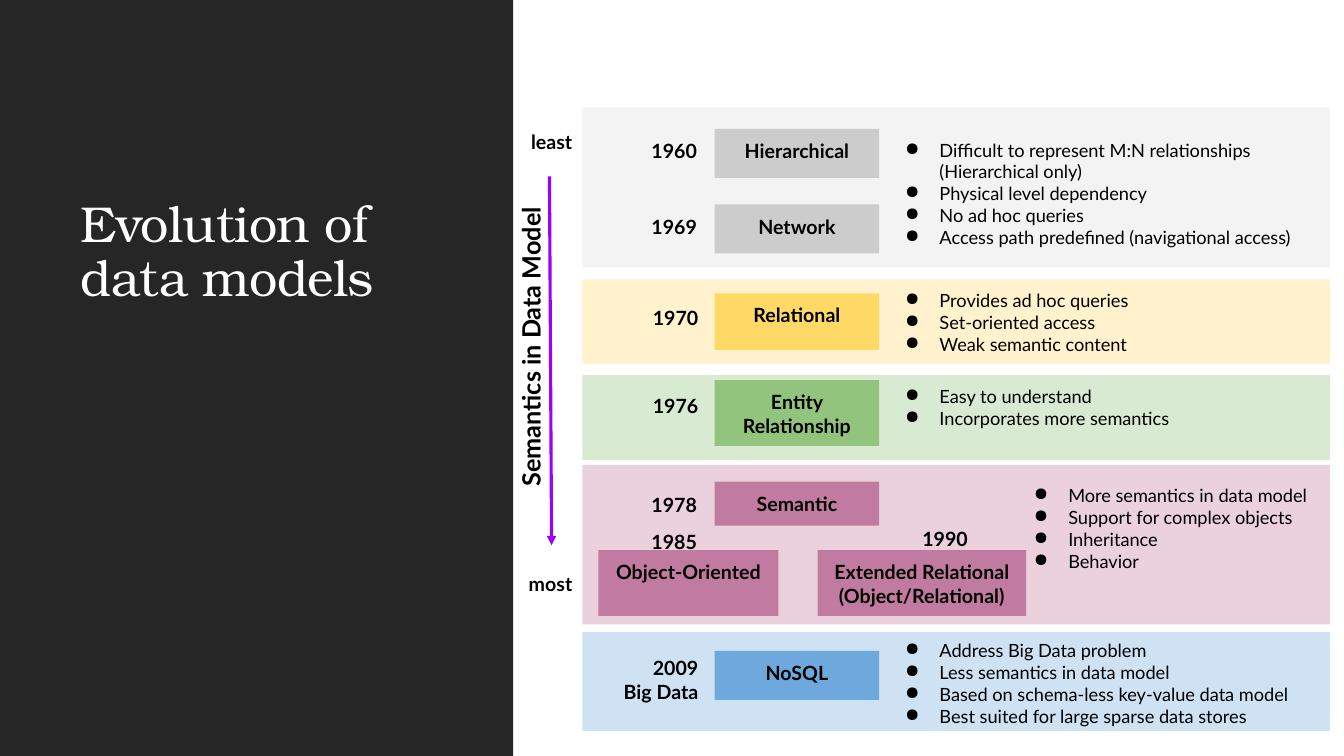
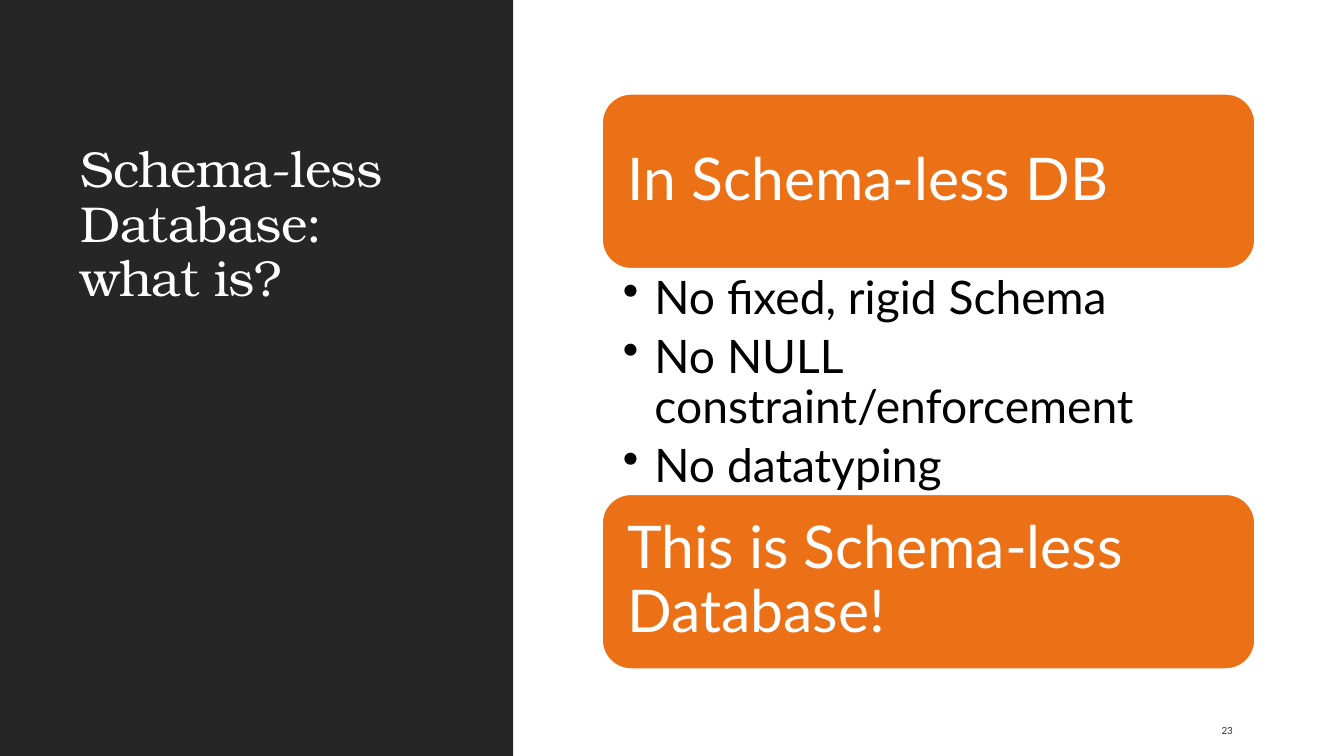
from lxml.etree import SubElement
from pptx import Presentation
from pptx.dml.color import RGBColor
from pptx.enum.shapes import MSO_CONNECTOR as Connector, MSO_SHAPE as Preset
from pptx.enum.text import MSO_ANCHOR as Anchor, MSO_AUTO_SIZE as AutoSize, PP_ALIGN as Align
from pptx.oxml.ns import qn
from pptx.util import Pt

COLORS = {
    "panel": "262626", "white": "FFFFFF", "black": "000000", "number": "39302A",
    "arrow": "9900FF", "orange": "EC7016",
    "gray": "CCCCCC", "gray light": "F3F3F3",
    "yellow": "FFD966", "yellow light": "FFF2CC",
    "green": "93C47D", "green light": "D9EAD3",
    "pink": "C27BA0", "pink light": "EAD1DC",
    "blue": "6FA8DC", "blue light": "CFE2F3",
}
BODY_FONT, TITLE_FONT = "Lato", "TeX Gyre Bonum"
SLIDE_WIDTH, SLIDE_HEIGHT = 960, 540
INSETS = (7.2, 7.2, 7.2, 7.2)

BAND_LEFT, BAND_WIDTH = 416, 534
MODEL_LEFT, MODEL_WIDTH = 510.5, 117.5
BULLETS_LEFT, BULLETS_WIDTH = 628, 322
YEAR_WIDTH = 83

# band: (colour, top, height)
# models: (name, left, top, width, height)
# years: (lines, right edge, top)
# bullets: (left, top, width, lines)
ERAS = [
    {"band": ("gray", 77, 114),
     "models": [("Hierarchical", MODEL_LEFT, 92, MODEL_WIDTH, 35),
                ("Network", MODEL_LEFT, 146, MODEL_WIDTH, 35)],
     "years": [(["1960"], 505, 92), (["1969"], 505, 146)],
     "bullets": (BULLETS_LEFT, 92, BULLETS_WIDTH,
                 ["Difficult to represent M:N relationships (Hierarchical only)",
                  "Physical level dependency", "No ad hoc queries",
                  "Access path predefined (navigational access)"])},
    {"band": ("yellow", 199.5, 60.5),
     "models": [("Relational", MODEL_LEFT, 209.5, MODEL_WIDTH, 40.5)],
     "years": [(["1970"], 506, 211.5)],
     "bullets": (BULLETS_LEFT, 199.5, BULLETS_WIDTH,
                 ["Provides ad hoc queries", "Set-oriented access",
                  "Weak semantic content"])},
    {"band": ("green", 268, 60.5),
     "models": [("Entity Relationship", MODEL_LEFT, 271.5, MODEL_WIDTH, 47)],
     "years": [(["1976"], 506, 274.5)],
     "bullets": (BULLETS_LEFT, 268, BULLETS_WIDTH,
                 ["Easy to understand", "Incorporates more semantics"])},
    {"band": ("pink", 332, 114),
     "models": [("Semantic", MODEL_LEFT, 344, MODEL_WIDTH, 31.5),
                ("Object-Oriented", 427.5, 393, 128.5, 47),
                ("Extended Relational (Object/Relational)", 584, 393, 149, 47)],
     "years": [(["1978"], 505, 345), (["1985"], 505, 371), (["1990"], 698.5, 369)],
     "bullets": (720, 339, 230,
                 ["More semantics in data model", "Support for complex objects",
                  "Inheritance", "Behavior"])},
    {"band": ("blue", 451.5, 70.5),
     "models": [("NoSQL", MODEL_LEFT, 465, MODEL_WIDTH, 35)],
     "years": [(["2009", "Big Data"], 506, 461.5)],
     "bullets": (BULLETS_LEFT, 449.5, BULLETS_WIDTH,
                 ["Address Big Data problem", "Less semantics in data model",
                  "Based on schema-less key-value data model",
                  "Best suited for large sparse data stores"])},
]


def rgb(name):
    return RGBColor.from_string(COLORS[name])


class Deck:
    """Holds the presentation, its style and the slide being drawn."""

    def __init__(self):
        self.presentation = Presentation()
        self.presentation.slide_width = Pt(SLIDE_WIDTH)
        self.presentation.slide_height = Pt(SLIDE_HEIGHT)
        self.slide = None

    def add_slide(self, title):
        self.slide = self.presentation.slides.add_slide(self.presentation.slide_layouts[5])
        panel = self.block(0, 0, 366.5, SLIDE_HEIGHT, "panel")
        self.slide.shapes.element.insert(2, panel.element)  # behind the title
        shape = self.slide.shapes.title
        shape.left, shape.top, shape.width, shape.height = map(Pt, (50.5, 62, 277, 165))
        self.set_text(shape, [title], 36, "white", anchor=Anchor.BOTTOM,
                      line_spacing=0.9, font=TITLE_FONT)
        run = shape.text_frame.paragraphs[0].runs[0]
        run._r.get_or_add_rPr().set("spc", "-50")

    def block(self, left, top, width, height, fill, preset=Preset.RECTANGLE):
        shape = self.slide.shapes.add_shape(preset, Pt(left), Pt(top), Pt(width), Pt(height))
        shape.shadow.inherit = False
        shape.fill.solid()
        shape.fill.fore_color.rgb = rgb(fill)
        shape.line.fill.background()
        return shape

    def text(self, left, top, width, height, lines, size, color="black", **style):
        shape = self.slide.shapes.add_textbox(Pt(left), Pt(top), Pt(width), Pt(height))
        self.set_text(shape, lines, size, color, **style)
        return shape

    def set_text(self, shape, lines, size, color="black", bold=False, align=Align.LEFT,
                 anchor=Anchor.TOP, insets=INSETS, line_spacing=1.0, space_after=0,
                 bullet=None, indent=0, hanging=0, font=BODY_FONT):
        frame = shape.text_frame
        frame.word_wrap = True
        frame.auto_size = AutoSize.NONE
        frame.vertical_anchor = anchor
        (frame.margin_left, frame.margin_top,
         frame.margin_right, frame.margin_bottom) = map(Pt, insets)
        for index, line in enumerate(lines):
            paragraph = frame.add_paragraph() if index else frame.paragraphs[0]
            paragraph.alignment = align
            paragraph.line_spacing = line_spacing
            paragraph.space_before = Pt(0)
            paragraph.space_after = Pt(space_after)
            if bullet:
                properties = paragraph._p.get_or_add_pPr()
                properties.set("marL", str(Pt(indent)))
                properties.set("indent", str(-Pt(hanging)))
                SubElement(properties, qn("a:buChar")).set("char", bullet)
            run = paragraph.add_run()
            run.text = line
            run.font.name = font
            run.font.size = Pt(size)
            run.font.bold = bold
            run.font.color.rgb = rgb(color)

    def label(self, left, top, width, height, lines, **style):
        self.text(left, top, width, height, lines, 14, bold=True, align=Align.RIGHT, **style)

    def arrow(self, x1, y1, x2, y2, color, weight):
        connector = self.slide.shapes.add_connector(
            Connector.STRAIGHT, Pt(x1), Pt(y1), Pt(x2), Pt(y2))
        connector.line.color.rgb = rgb(color)
        connector.line.width = Pt(weight)
        properties = connector.element.spPr
        SubElement(properties.find(qn("a:ln")), qn("a:tailEnd")).set("type", "triangle")
        SubElement(properties, qn("a:effectLst"))

    def era(self, band, models, years, bullets):
        """Draw one coloured band with its models, years and remarks."""
        color, top, height = band
        self.block(BAND_LEFT, top, BAND_WIDTH, height, color + " light")
        for name, *box in models:
            self.set_text(self.block(*box, color), [name], 14, bold=True, align=Align.CENTER)
        for lines, right, year_top in years:
            self.label(right - YEAR_WIDTH, year_top, YEAR_WIDTH, 35, lines)
        left, top, width, lines = bullets
        self.text(left, top, width, 40, lines, 13, bullet="●", indent=36, hanging=24.5)

    def banner(self, top, text):
        shape = self.block(430, top, 466.5, 125, "orange", Preset.ROUNDED_RECTANGLE)
        shape.line.color.rgb = rgb("white")
        shape.line.width = Pt(1.25)
        self.set_text(shape, [text], 42, "white", anchor=Anchor.MIDDLE,
                      insets=(12.25,) * 4, line_spacing=0.9)


def evolution_slide(deck):
    deck.add_slide("Evolution of data models")
    axis = deck.text(237.5, 195, 283, 36, ["Semantics in Data Model"], 18, bold=True)
    axis.rotation = 270
    for era in ERAS:
        deck.era(**era)
    for top, word in ((92, "least"), (407.5, "most")):
        deck.label(327.5, top, 88.5, 19, [word], anchor=Anchor.MIDDLE)
    deck.arrow(392.5, 126, 394, 389.5, "arrow", 2.25)


def schemaless_slide(deck):
    deck.add_slide("Schema-less Database: what is?")
    deck.banner(67, "In Schema-less DB")
    deck.text(430, 192, 466.5, 161,
              ["No fixed, rigid Schema", "No NULL constraint/enforcement", "No datatyping"],
              33, insets=(15, 4.25, 24, 4.25), line_spacing=0.9, space_after=6.6,
              bullet="•", indent=22.5, hanging=22.5)
    deck.banner(353, "This is Schema-less Database!")
    deck.text(865.5, 507.5, 61, 29, ["23"], 7, "number", anchor=Anchor.MIDDLE)


def main():
    deck = Deck()
    evolution_slide(deck)
    schemaless_slide(deck)
    deck.presentation.save("out.pptx")


if __name__ == "__main__":
    main()
